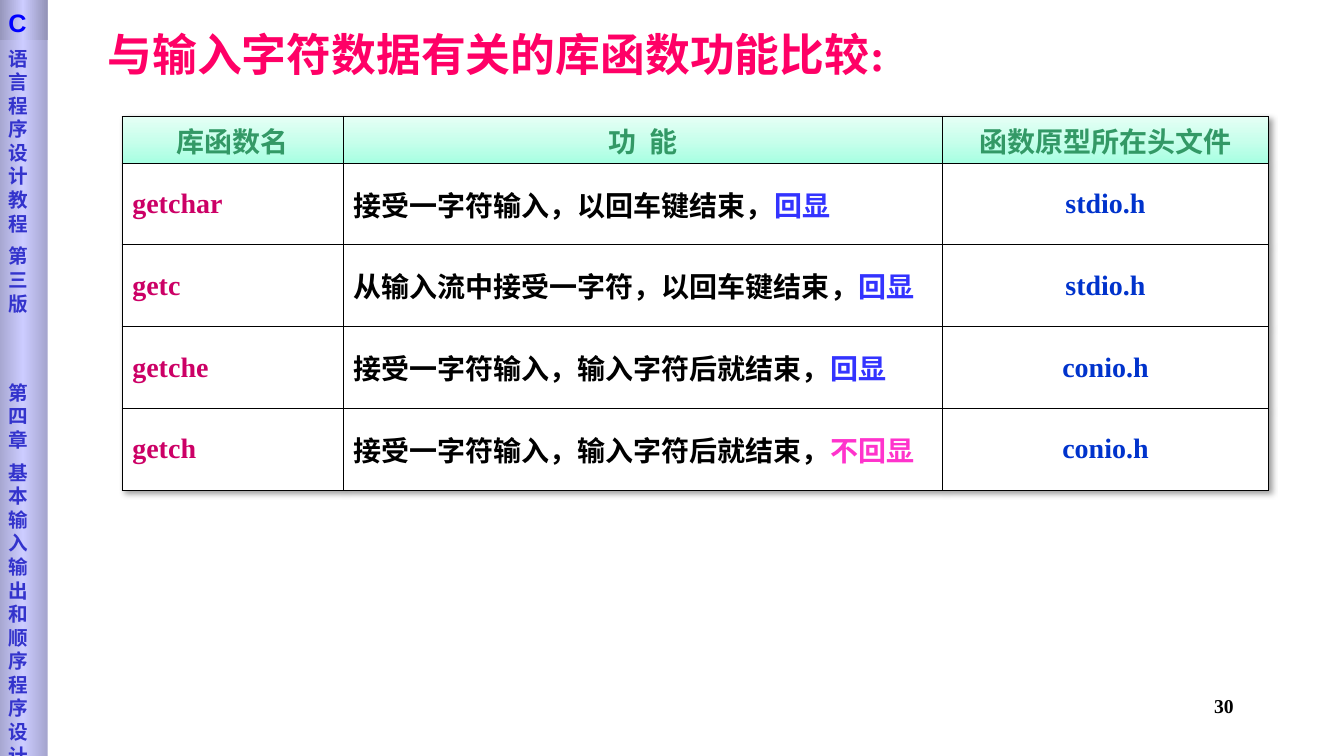
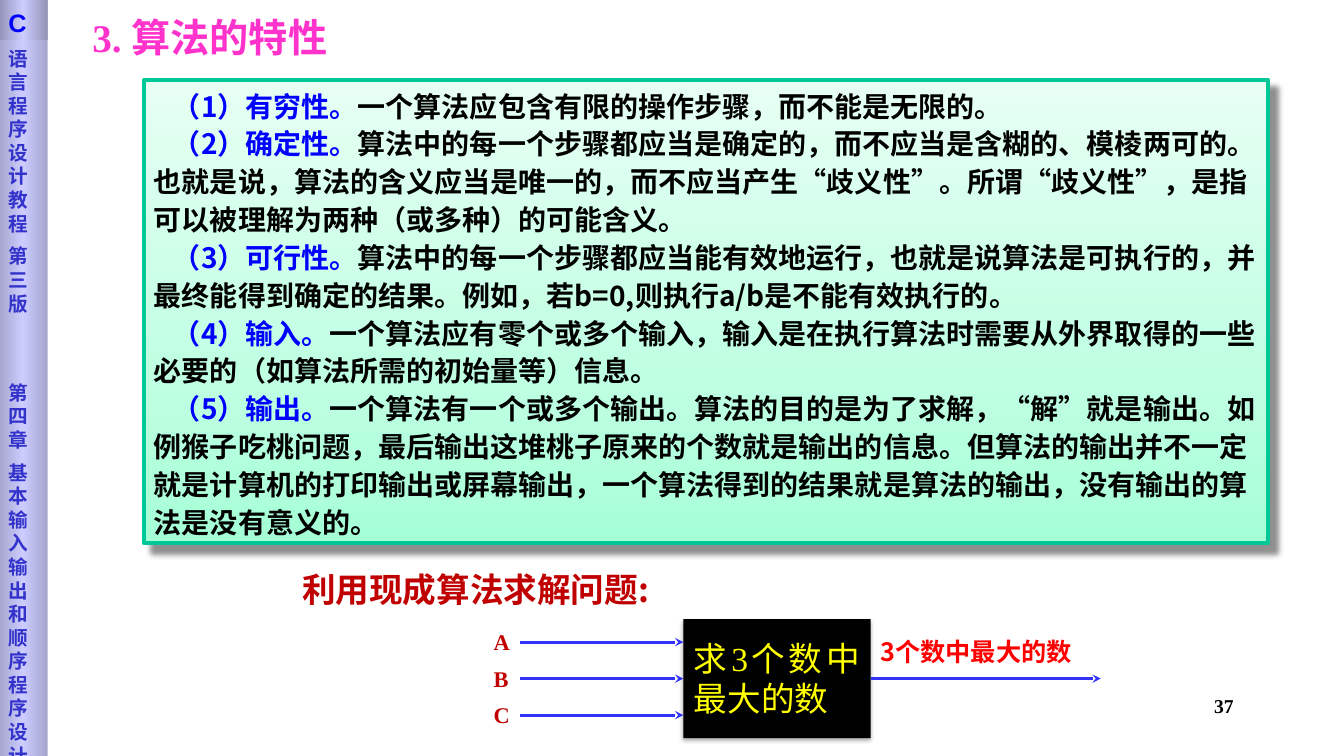
from pptx import Presentation
from pptx.dml.color import RGBColor
from pptx.enum.lang import MSO_LANGUAGE_ID
from pptx.enum.shapes import MSO_CONNECTOR, MSO_SHAPE
from pptx.enum.text import MSO_ANCHOR, PP_ALIGN
from pptx.oxml import parse_xml
from pptx.oxml.ns import nsdecls
from pptx.util import Cm, Pt

LEFT, CENTER, RIGHT, JUSTIFY = PP_ALIGN.LEFT, PP_ALIGN.CENTER, PP_ALIGN.RIGHT, PP_ALIGN.JUSTIFY
TOP, MIDDLE = MSO_ANCHOR.TOP, MSO_ANCHOR.MIDDLE
RECTANGLE = MSO_SHAPE.RECTANGLE
STRAIGHT = MSO_CONNECTOR.STRAIGHT
CHINESE = MSO_LANGUAGE_ID.SIMPLIFIED_CHINESE
LEFT_SIDE, RIGHT_SIDE = 1, 3

SERIF = "Times New Roman"
HAN = "Noto Sans CJK SC"

COLORS = {
    "black": "000000",
    "white": "FFFFFF",
    "title": "FF0066",
    "pink": "FF33CC",
    "header": "339966",
    "function": "CC0066",
    "echo": "3333FF",
    "file": "0033CC",
    "side": "3333CC",
    "blue": "0000FF",
    "box_line": "00C896",
    "dark_red": "C00000",
    "red": "FF0000",
    "yellow": "FFFF00",
}
GRADIENTS = {
    "band": ([(0, "A4A4CD"), (50, "CCCCFF"), (100, "A4A4CD")], 0),
    "cap": ([(0, "9292B6"), (50, "CCCCFF"), (100, "9292B6")], 0),
    "header": ([(0, "A7FFE2"), (50, "C9FFEC"), (100, "E5FFF5")], 270),
    "box": ([(0, "A5FFD6"), (35, "BFFFE2"), (100, "E7FFF3")], 270),
}


def color(name):
    return RGBColor.from_string(COLORS[name])


def gradient(name):
    stops, angle = GRADIENTS[name]
    marks = "".join(
        f'<a:gs pos="{place * 1000}"><a:srgbClr val="{shade}"/></a:gs>' for place, shade in stops
    )
    return parse_xml(
        f'<a:gradFill {nsdecls("a")} rotWithShape="1"><a:gsLst>{marks}</a:gsLst>'
        f'<a:lin ang="{angle * 60000}" scaled="0"/></a:gradFill>'
    )


def shadow(opacity, blur, distance, angle):
    return parse_xml(
        f'<a:effectLst {nsdecls("a")}><a:outerShdw blurRad="{Pt(blur)}" dist="{Pt(distance)}" '
        f'dir="{angle * 60000}" algn="tl" rotWithShape="0"><a:srgbClr val="{COLORS["black"]}">'
        f'<a:alpha val="{opacity * 1000}"/></a:srgbClr></a:outerShdw></a:effectLst>'
    )


def write(paragraph, text, size=20, font=SERIF, ink="black", bold=True):
    run = paragraph.add_run()
    run.text = text
    run.font.size = Pt(size)
    run.font.name = font
    run.font.bold = bold
    run.font.color.rgb = color(ink)
    run.font.language_id = CHINESE
    run.font._element.append(parse_xml(f'<a:ea {nsdecls("a")} typeface="{HAN}"/>'))


class Deck:
    def __init__(self):
        self.presentation = Presentation()
        self.presentation.slide_width = Cm(33.87)
        self.presentation.slide_height = Cm(19.05)
        self.slide = None

    def new_slide(self, number):
        self.slide = self.presentation.slides.add_slide(self.presentation.slide_layouts[6])
        self.sidebar()
        self.text(number, 24.28, 17.35, 7.06, 1.27, size=14, align=RIGHT)

    def frame(self, shape, anchor=TOP, inset=0.25, top=0.13):
        frame = shape.text_frame
        frame.word_wrap = True
        frame.vertical_anchor = anchor
        frame.margin_left = frame.margin_right = Cm(inset)
        frame.margin_top = Cm(top)
        frame.margin_bottom = Cm(0)
        return frame

    def text(self, text, left, top, width, height, align=LEFT, anchor=TOP, inset_top=0.13, **style):
        box = self.slide.shapes.add_textbox(Cm(left), Cm(top), Cm(width), Cm(height))
        paragraph = self.frame(box, anchor, top=inset_top).paragraphs[0]
        paragraph.alignment = align
        write(paragraph, text, **style)

    def title(self, text, left, top, height, **style):
        self.text(text, left, top, 21.4, height, anchor=MIDDLE, inset_top=0, **style)

    def panel(self, left, top, width, height, fill=None, shades=None, line=None, effect=None):
        shape = self.slide.shapes.add_shape(RECTANGLE, Cm(left), Cm(top), Cm(width), Cm(height))
        properties = shape._element.spPr
        if shades:
            properties.insert(2, gradient(shades))
        else:
            shape.fill.solid()
            shape.fill.fore_color.rgb = color(fill)
        if line:
            shape.line.color.rgb = color(line)
            shape.line.width = Pt(3)
        else:
            shape.line.fill.background()
        if effect:
            properties.append(shadow(*effect))
        else:
            shape.shadow.inherit = False
        return shape

    def paragraphs(self, frame, lines, align=LEFT, spacing=None, indent=0, gaps=None, **style):
        for index, pieces in enumerate(lines):
            paragraph = frame.add_paragraph() if index else frame.paragraphs[0]
            paragraph.alignment = align
            if spacing:
                paragraph.line_spacing = Pt(spacing)
            if gaps:
                paragraph.space_before = Pt(gaps[index])
            if indent:
                paragraph._p.get_or_add_pPr().set("indent", str(Cm(indent)))
            for text, ink in pieces:
                write(paragraph, text, ink=ink, **style)

    def sidebar(self):
        band = self.panel(-0.04, 0, 1.24, 19.05, shades="band")
        course = ["语言程序设计教程", "第三版", "第四章", "基本输入输出和顺序程序设计"]
        self.paragraphs(self.frame(band, top=1.17), [[(part, "side")] for part in course],
                        spacing=16.85, gaps=[0, 6.7, 46.7, 6.7], size=14, font="DejaVu Sans")
        cap = self.panel(-0.04, 0, 1.24, 1.02, shades="cap")
        self.paragraphs(self.frame(cap, top=0.18), [[("C", "blue")]], size=18, font="Arial")

    def table(self, left, top, widths, heights, rows):
        table_frame = self.slide.shapes.add_table(
            len(rows), len(widths), Cm(left), Cm(top), Cm(sum(widths)), Cm(sum(heights)))
        table = table_frame.table
        table.first_row = table.horz_banding = False
        table._tbl.tblPr.insert(0, shadow(40, 4, 3, 45))
        for column, width in zip(table.columns, widths):
            column.width = Cm(width)
        for index, (height, row) in enumerate(zip(heights, rows)):
            table.rows[index].height = Cm(height)
            for position, pieces in enumerate(row):
                self.cell(table.cell(index, position), pieces, index == 0, position)

    def cell(self, cell, pieces, is_header, position):
        cell.vertical_anchor = MIDDLE
        cell.margin_top = cell.margin_bottom = Cm(0)
        align = CENTER if is_header or position == 2 else LEFT
        self.paragraphs(cell.text_frame, [pieces], align=align)
        properties = cell._tc.get_or_add_tcPr()
        for side in "LRTB":
            properties.append(parse_xml(
                f'<a:ln{side} {nsdecls("a")} w="{Pt(1)}"><a:solidFill>'
                f'<a:srgbClr val="{COLORS["black"]}"/></a:solidFill></a:ln{side}>'))
        if is_header:
            properties.append(gradient("header"))
        else:
            cell.fill.solid()
            cell.fill.fore_color.rgb = color("white")

    def arrow(self, start, end, y, source=None, target=None):
        arrow = self.slide.shapes.add_connector(STRAIGHT, Cm(start), Cm(y), Cm(end), Cm(y))
        if source:
            arrow.begin_connect(source, RIGHT_SIDE)
        if target:
            arrow.end_connect(target, LEFT_SIDE)
        arrow.line.color.rgb = color("echo")
        arrow.line.width = Pt(2)
        arrow.line._get_or_add_ln().append(
            parse_xml(f'<a:tailEnd {nsdecls("a")} type="stealth"/>'))
        arrow._element.spPr.append(parse_xml(f'<a:effectLst {nsdecls("a")}/>'))


def library_functions(deck):
    deck.new_slide("30")
    deck.title("与输入字符数据有关的库函数功能比较:", 2.46, 0.56, 1.6, size=32, ink="title")
    echo, silent = ("回显", "echo"), ("不回显", "pink")
    functions = [
        ("getchar", "接受一字符输入，以回车键结束，", echo, "stdio.h"),
        ("getc", "从输入流中接受一字符，以回车键结束，", echo, "stdio.h"),
        ("getche", "接受一字符输入，输入字符后就结束，", echo, "conio.h"),
        ("getch", "接受一字符输入，输入字符后就结束，", silent, "conio.h"),
    ]
    rows = [[[(head, "header")] for head in ("库函数名", "功  能", "函数原型所在头文件")]]
    rows += [
        [[(name, "function")], [(action, "black"), display], [(header_file, "file")]]
        for name, action, display, header_file in functions
    ]
    deck.table(3.08, 2.94, [5.57, 15.11, 8.2], [1.17] + [2.06] * 4, rows)


def algorithm_properties(deck):
    deck.new_slide("37")
    deck.title("3. 算法的特性", 2.08, 0.2, 1.45, size=28, ink="pink")

    traits = [
        ("有穷性", "一个算法应包含有限的操作步骤，而不能是无限的。"),
        ("确定性", "算法中的每一个步骤都应当是确定的，而不应当是含糊的、模棱两可的。"
                "也就是说，算法的含义应当是唯一的，而不应当产生“歧义性”。"
                "所谓“歧义性”，是指可以被理解为两种（或多种）的可能含义。"),
        ("可行性", "算法中的每一个步骤都应当能有效地运行，也就是说算法是可执行的，"
                "并最终能得到确定的结果。例如，若b=0,则执行a/b是不能有效执行的。"),
        ("输入", "一个算法应有零个或多个输入，输入是在执行算法时需要从外界取得的"
               "一些必要的（如算法所需的初始量等）信息。"),
        ("输出", "一个算法有一个或多个输出。算法的目的是为了求解，“解”就是输出。"
               "如例猴子吃桃问题，最后输出这堆桃子原来的个数就是输出的信息。"
               "但算法的输出并不一定就是计算机的打印输出或屏幕输出，"
               "一个算法得到的结果就是算法的输出，没有输出的算法是没有意义的。"),
    ]
    lines = [
        [(f"（{number}）{trait}。", "blue"), (meaning, "black")]
        for number, (trait, meaning) in enumerate(traits, 1)
    ]
    properties = deck.panel(3.63, 2.01, 28.32, 11.68, shades="box", line="box_line",
                            effect=(43, 4, 8.4, 45))
    deck.paragraphs(deck.frame(properties), lines, spacing=27, indent=0.48, font=HAN)

    deck.text("利用现成算法求解问题:", 6.93, 14.33, 10.11, 1.04, align=CENTER, inset_top=0,
              size=24, font=HAN, ink="dark_red")
    box_left, box_width, middle, step = 17.22, 4.72, 17.1, 0.92
    solver = deck.panel(box_left, middle - 1.5, box_width, 3, fill="black", effect=(35, 3.1, 1.8, 90))
    deck.paragraphs(deck.frame(solver, MIDDLE, inset=0.27, top=0), [[("求3个数中最大的数", "yellow")]],
                    align=JUSTIFY, spacing=28.6, size=24, bold=False)
    for index, name in enumerate("ABC"):
        y = middle + (index - 1) * step
        deck.text(name, 12.19, y - 0.48, 0.81, 0.84, size=16, ink="dark_red")
        deck.arrow(13.1, box_left, y, target=solver if y == middle else None)
    box_right = box_left + box_width
    deck.text("3个数中最大的数", box_right, 16.03, 5.8, 0.91, inset_top=0,
              size=18, font=HAN, ink="red")
    deck.arrow(box_right, 27.74, middle, source=solver)


def main():
    deck = Deck()
    library_functions(deck)
    algorithm_properties(deck)
    deck.presentation.save("out.pptx")


if __name__ == "__main__":
    main()
